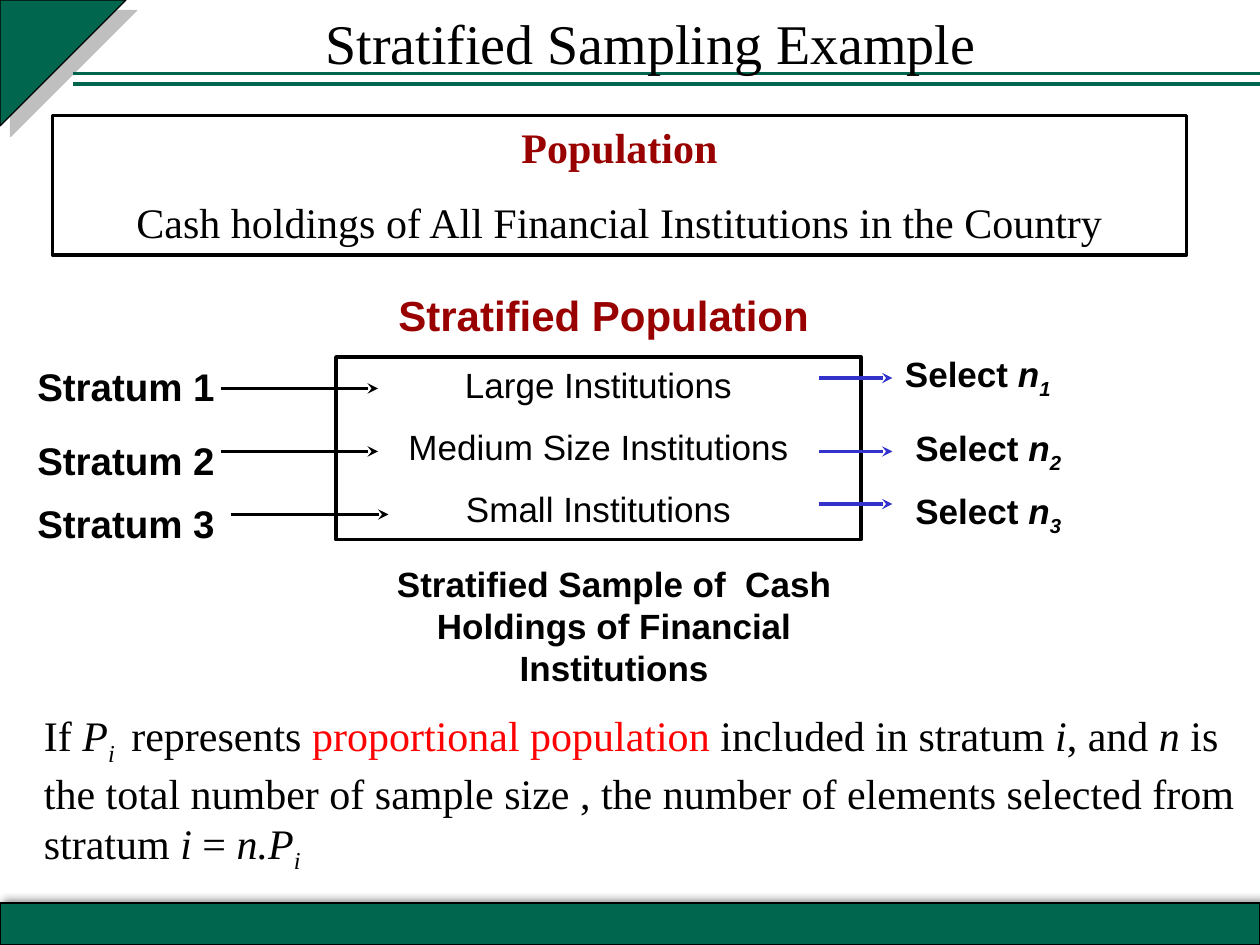
from lxml import etree
from pptx import Presentation
from pptx.dml.color import RGBColor
from pptx.enum.shapes import MSO_CONNECTOR as Connector, MSO_SHAPE as Shape
from pptx.enum.text import MSO_ANCHOR as Anchor, PP_ALIGN as Align
from pptx.oxml.ns import qn
from pptx.util import Inches, Pt

GREEN = RGBColor(0x00, 0x66, 0x4D)
BLACK = RGBColor(0x00, 0x00, 0x00)
GREY = RGBColor(0x80, 0x80, 0x80)
MAROON = RGBColor(0x99, 0x00, 0x00)
RED = RGBColor(0xFF, 0x00, 0x00)
BLUE = RGBColor(0x33, 0x33, 0xCC)
SERIF, SANS = "Times New Roman", "Arial"
COLUMNS, ROWS = 120, 90
ITALIC, SUB, ACCENT = "italic", "sub", "accent"


class SlidePainter:
    def __init__(self, deck):
        self.page = deck.slides.add_slide(deck.slide_layouts[6])
        self.column = deck.slide_width / COLUMNS
        self.row = deck.slide_height / ROWS

    def place(self, left, top, width, height):
        return (round(left * self.column), round(top * self.row),
                round(width * self.column), round(height * self.row))

    def shape(self, kind, area, fill=None, weight=2):
        shape = self.page.shapes.add_shape(kind, *self.place(*area))
        shape.shadow.inherit = False
        if fill is None:
            shape.fill.background()
        else:
            shape.fill.solid()
            shape.fill.fore_color.rgb = fill
        shape.line.color.rgb = BLACK
        shape.line.width = Pt(weight)
        return shape

    def shadow(self, shape, color, opacity, blur, distance, angle):
        effects = shape._element.spPr.find(qn("a:effectLst"))
        outer = etree.SubElement(
            effects, qn("a:outerShdw"), blurRad=str(Pt(blur)),
            dist=str(Pt(distance)), dir=str(angle * 60000),
            algn="ctr", rotWithShape="0")
        tint = etree.SubElement(outer, qn("a:srgbClr"), val=str(color))
        etree.SubElement(tint, qn("a:alpha"), val=str(opacity * 1000))

    def line(self, start, end, color, weight=2, arrow=False):
        x1, y1, x2, y2 = self.place(*start, *end)
        line = self.page.shapes.add_connector(
            Connector.STRAIGHT, x1, y1, x2, y2)
        line.line.color.rgb = color
        line.line.width = Pt(weight)
        if arrow:
            outline = line._element.spPr.find(qn("a:ln"))
            etree.SubElement(outline, qn("a:tailEnd"), type="stealth")
        etree.SubElement(line._element.spPr, qn("a:effectLst"))

    def fill_text(self, box, paras, size, name, color=BLACK, bold=False,
                  align=Align.CENTER, anchor=Anchor.TOP, gap=0):
        frame = box.text_frame
        frame.word_wrap = True
        frame.vertical_anchor = anchor
        for index, spans in enumerate(paras):
            para = frame.paragraphs[0] if index == 0 else frame.add_paragraph()
            para.alignment = align
            if index:
                para.space_before = Pt(gap)
            para.font.size = Pt(size)
            para.font.name = name
            para.font.bold = bold
            para.font.color.rgb = color
            for text, *marks in spans:
                span = para.add_run()
                span.text = text
                if ITALIC in marks:
                    span.font.italic = True
                if ACCENT in marks:
                    span.font.color.rgb = RED
                if SUB in marks:
                    span._r.get_or_add_rPr().set("baseline", "-25000")
        return frame

    def label(self, area, spans, size, name, **style):
        box = self.page.shapes.add_textbox(*self.place(*area))
        self.fill_text(box, [spans], size, name, **style)


def main():
    deck = Presentation()
    deck.slide_width, deck.slide_height = Inches(10), Inches(7.5)
    painter = SlidePainter(deck)

    footer = painter.shape(Shape.RECTANGLE, (0, 86, COLUMNS, 4), GREEN, 0.75)
    painter.shadow(footer, BLACK, 40, 4, 3, 315)
    corner = painter.shape(Shape.RIGHT_TRIANGLE, (0, 0, 12, 12), GREEN, 0.75)
    corner.rotation = 90
    painter.shadow(corner, GREY, 50, 0, 8.5, 45)
    for row in (8, 7):
        painter.line((7, row), (COLUMNS, row), GREEN, 2.25)

    population = painter.shape(Shape.RECTANGLE, (5, 11, 108, 13.3))
    frame = painter.fill_text(
        population,
        [[("Population",)],
         [("Cash holdings of All Financial Institutions in the Country",)]],
        24, SERIF, gap=14)
    heading = frame.paragraphs[0].font
    heading.bold = True
    heading.color.rgb = MAROON

    strata = painter.shape(Shape.RECTANGLE, (32, 34, 50, 17.4))
    names = ("Large Institutions", "Medium Size Institutions",
             "Small Institutions")
    painter.fill_text(strata, [[(name,)] for name in names],
                      20, SANS, gap=11.5)
    painter.label((36, 27, 43, 6.1), [("Stratified Population",)],
                  24, SANS, color=MAROON, bold=True)

    strata_rows = (
        (34, 21, 37, 85, 33, 36),
        (41, 21, 43, 86, 40, 43),
        (47, 22, 49, 86, 46, 48),
    )
    for number, layout in enumerate(strata_rows, 1):
        name_row, start, arrow_row, pick_column, pick_row, pick_arrow = layout
        painter.label((0, name_row, 24, 5.6), [(f"Stratum {number}",)],
                      22, SANS, bold=True)
        painter.line((start, arrow_row), (start + 15, arrow_row),
                     BLACK, arrow=True)
        painter.label((pick_column, pick_row, 22, 5.2),
                      [("Select ",), ("n", ITALIC), (str(number), ITALIC, SUB)],
                      20, SANS, bold=True, align=Align.LEFT)
        painter.line((78, pick_arrow), (85, pick_arrow), BLUE, arrow=True)

    painter.label(
        (35, 53, 47, 13.3),
        [("Stratified Sample of  Cash Holdings of Financial Institutions",)],
        20, SANS, bold=True)
    painter.label((8, 0, 108, 8), [("Stratified Sampling Example",)],
                  32, SERIF, anchor=Anchor.MIDDLE)
    painter.label(
        (3, 67, 117, 15.7),
        [("If ",), ("P", ITALIC), ("i ", ITALIC, SUB), (" represents ",),
         ("proportional population ", ACCENT), ("included in stratum ",),
         ("i", ITALIC), (", and ",), ("n", ITALIC),
         (" is the total number of sample size , the number of elements "
          "selected from stratum ",),
         ("i", ITALIC), (" = ",), ("n.P", ITALIC), ("i", ITALIC, SUB)],
        24, SERIF, align=Align.LEFT)

    deck.save("out.pptx")


if __name__ == "__main__":
    main()
